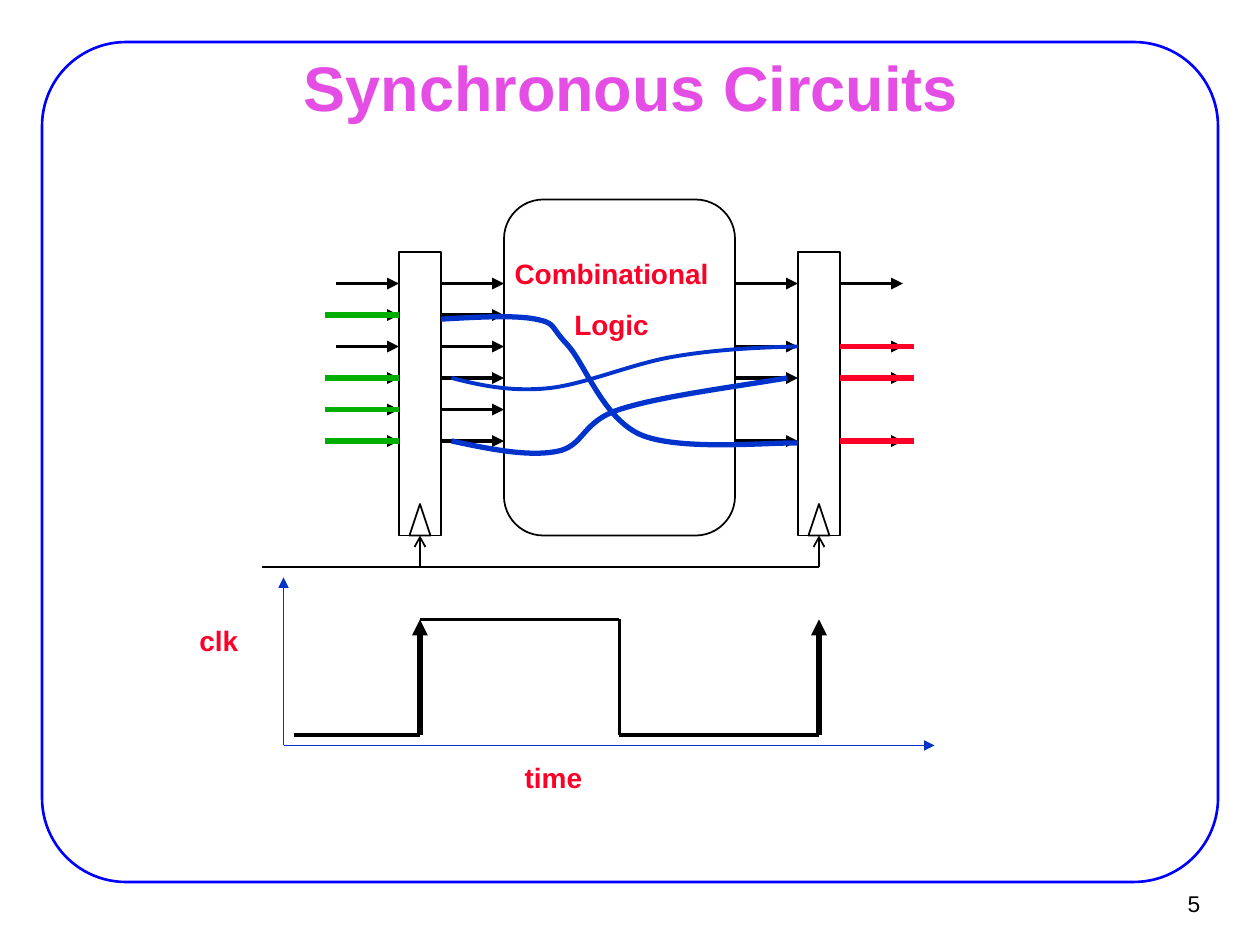
from dataclasses import dataclass

from lxml.etree import SubElement
from pptx import Presentation
from pptx.dml.color import RGBColor
from pptx.enum.shapes import MSO_CONNECTOR, MSO_SHAPE
from pptx.enum.text import MSO_ANCHOR, PP_ALIGN
from pptx.oxml.ns import qn
from pptx.util import Inches, Pt


@dataclass(frozen=True)
class Theme:
    font: str = "Arial"
    black: str = "000000"
    white: str = "FFFFFF"
    frame: str = "0000FF"
    title: str = "E44EE4"
    label: str = "FC0128"
    before: str = "00AE00"
    through: str = "0033CC"
    after: str = "FC0128"
    title_size: int = 36
    label_size: int = 16
    number_size: int = 13
    thin: float = 1
    border: float = 1.5
    wire: float = 2.25
    bold: float = 3


THEME = Theme()

# The slide is a grid of 120 columns and 90 rows, twelve to the inch
COLUMNS, ROWS = 120, 90

INPUT_ROWS = (27, 30, 33, 36, 39, 42)
OUTPUT_ROWS = (27, 33, 36, 42)
ACTIVE_INPUTS = (30, 36, 39, 42)
ACTIVE_OUTPUTS = (33, 36, 42)
REGISTERS = (38, 76)
REGISTER_WIDTH = 4
LOGIC_LEFT, LOGIC_WIDTH = 48, 22

# Bezier points of each signal: a start, then three points for each stretch
SIGNAL_CURVES = (
    (THEME.bold, [(43, 42), (46.7, 42.8), (50.3, 43.5), (53, 43),
                  (55.7, 42.5), (55.3, 40.2), (59, 39),
                  (62.7, 37.8), (68.9, 37), (75, 36)]),
    (THEME.bold, [(42, 30.4), (45.5, 30.2), (49, 30), (51, 30.4),
                  (53, 30.8), (52.3, 31), (54, 32.8),
                  (55.7, 34.6), (57.4, 39.8), (61, 41.4),
                  (64.7, 43), (73.5, 42.1), (76, 42.2)]),
    (THEME.wire, [(43, 36), (45.7, 36.7), (48.5, 37.3), (52, 37),
                  (55.5, 36.7), (60, 34.7), (64, 34),
                  (68, 33.3), (72, 33.1), (76, 33)]),
)


def cells(*values):
    return [Inches(value / 12) for value in values]


def set_line(shape, color, width):
    shape.line.color.rgb = RGBColor.from_string(color)
    shape.line.width = Pt(width)


def add_block(slide, kind, area, fill=None, color=THEME.black,
              width=THEME.thin, corner=None):
    block = slide.shapes.add_shape(kind, *cells(*area))
    block.shadow.inherit = False
    if fill:
        block.fill.solid()
        block.fill.fore_color.rgb = RGBColor.from_string(fill)
    else:
        block.fill.background()
    if corner is not None:
        block.adjustments[0] = corner
    set_line(block, color, width)


def add_wire(slide, start, end, color=THEME.black, width=THEME.wire, head=None):
    wire = slide.shapes.add_connector(MSO_CONNECTOR.STRAIGHT, *cells(*start, *end))
    set_line(wire, color, width)
    if head:
        SubElement(wire.line._get_or_add_ln(), qn("a:tailEnd"), type=head)
    SubElement(wire._element.spPr, qn("a:effectLst"))


def add_wires(slide, rows, left, right, **style):
    for row in rows:
        add_wire(slide, (left, row), (right, row), **style)


def add_curve(slide, points, color, width):
    builder = slide.shapes.build_freeform(*cells(*points[0]))
    builder.add_line_segments([cells(*point) for point in points[1:]], close=False)
    curve = builder.convert_to_shape()
    curve.shadow.inherit = False
    curve.fill.background()
    set_line(curve, color, width)

    # Turn each three straight segments into one Bezier stretch
    segments = list(curve._element.iter(qn("a:lnTo")))
    outline = segments[0].getparent()
    for first in range(0, len(segments), 3):
        stretch = SubElement(outline, qn("a:cubicBezTo"))
        for segment in segments[first:first + 3]:
            stretch.append(segment[0])
            outline.remove(segment)


def add_text(slide, lines, area, size=THEME.label_size, color=THEME.label,
             bold=True, align=PP_ALIGN.LEFT, anchor=MSO_ANCHOR.TOP,
             wrap=False, gap=10):
    box = slide.shapes.add_textbox(*cells(*area))
    frame = box.text_frame
    frame.word_wrap = wrap
    frame.vertical_anchor = anchor
    for index, line in enumerate(lines):
        para = frame.paragraphs[0] if index == 0 else frame.add_paragraph()
        para.alignment = align
        if index:
            para.space_before = Pt(gap)
        span = para.add_run()
        span.text = line
        span.font.name = THEME.font
        span.font.size = Pt(size)
        span.font.bold = bold
        span.font.color.rgb = RGBColor.from_string(color)


def add_register(slide, left):
    middle = left + REGISTER_WIDTH / 2
    add_block(slide, MSO_SHAPE.RECTANGLE, (left, 24, REGISTER_WIDTH, 27), THEME.white)
    add_block(slide, MSO_SHAPE.ISOSCELES_TRIANGLE, (middle - 1, 48, 2, 3), THEME.white)
    add_wire(slide, (middle, 54), (middle, 51), width=THEME.thin, head="arrow")


def add_circuit(slide):
    source, target = REGISTERS
    source_right, target_right = (left + REGISTER_WIDTH for left in REGISTERS)
    add_text(slide, ["Combinational", "Logic"], (47.8, 23.8, 20.9, 9.2),
             align=PP_ALIGN.CENTER)
    add_block(slide, MSO_SHAPE.ROUNDED_RECTANGLE, (LOGIC_LEFT, 19, LOGIC_WIDTH, 32),
              corner=0.17)
    for left in REGISTERS:
        add_register(slide, left)
    add_wire(slide, (78, 54), (25, 54), width=THEME.thin)

    # Wires into and out of each register
    for rows, left, right in ((INPUT_ROWS, source - 6, source),
                              (INPUT_ROWS, source_right, LOGIC_LEFT),
                              (OUTPUT_ROWS, LOGIC_LEFT + LOGIC_WIDTH, target),
                              (OUTPUT_ROWS, target_right, target_right + 6)):
        add_wires(slide, rows, left, right, head="triangle")

    # Signals before, through and after the logic
    for width, points in SIGNAL_CURVES:
        add_curve(slide, points, THEME.through, width)
    add_wires(slide, ACTIVE_OUTPUTS, target_right, target_right + 7,
              color=THEME.after, width=THEME.bold)
    add_wires(slide, ACTIVE_INPUTS, source - 7, source,
              color=THEME.before, width=THEME.bold)


def add_timing(slide):
    low, high = 70, 59
    rise, fall, next_rise = 40, 59, 78

    # Clock waveform, with arrows on the rising edges
    add_wire(slide, (28, low), (rise, low))
    add_wire(slide, (rise, high), (fall, high))
    add_wire(slide, (fall, low), (fall, high))
    add_wire(slide, (fall, low), (next_rise, low))
    for edge in (rise, next_rise):
        add_wire(slide, (edge, low), (edge, high), width=THEME.bold, head="triangle")

    # Axes and their names
    for end in ((89, 71), (27, 55)):
        add_wire(slide, (27, 71), end, color=THEME.through, width=THEME.thin,
                 head="triangle")
    add_text(slide, ["time"], (48.8, 71.8, 8.2, 4.4))
    add_text(slide, ["clk"], (17.8, 58.8, 6.3, 4.4))


def main():
    deck = Presentation()
    deck.slide_width, deck.slide_height = cells(COLUMNS, ROWS)
    slide = deck.slides.add_slide(deck.slide_layouts[6])

    # Frame, page number and title
    add_block(slide, MSO_SHAPE.ROUNDED_RECTANGLE, (4, 4, COLUMNS - 8, ROWS - 10),
              color=THEME.frame, width=THEME.border, corner=0.1)
    add_text(slide, ["5"], (108.2, 83.8, 7.3, 4.4), size=THEME.number_size,
             color=THEME.black, bold=False, align=PP_ALIGN.RIGHT,
             anchor=MSO_ANCHOR.MIDDLE)
    add_text(slide, ["Synchronous Circuits"], (9.1, 5.3, 102, 5.9),
             size=THEME.title_size, color=THEME.title, align=PP_ALIGN.CENTER,
             anchor=MSO_ANCHOR.MIDDLE, wrap=True)

    add_circuit(slide)
    add_timing(slide)
    deck.save("out.pptx")


if __name__ == "__main__":
    main()
